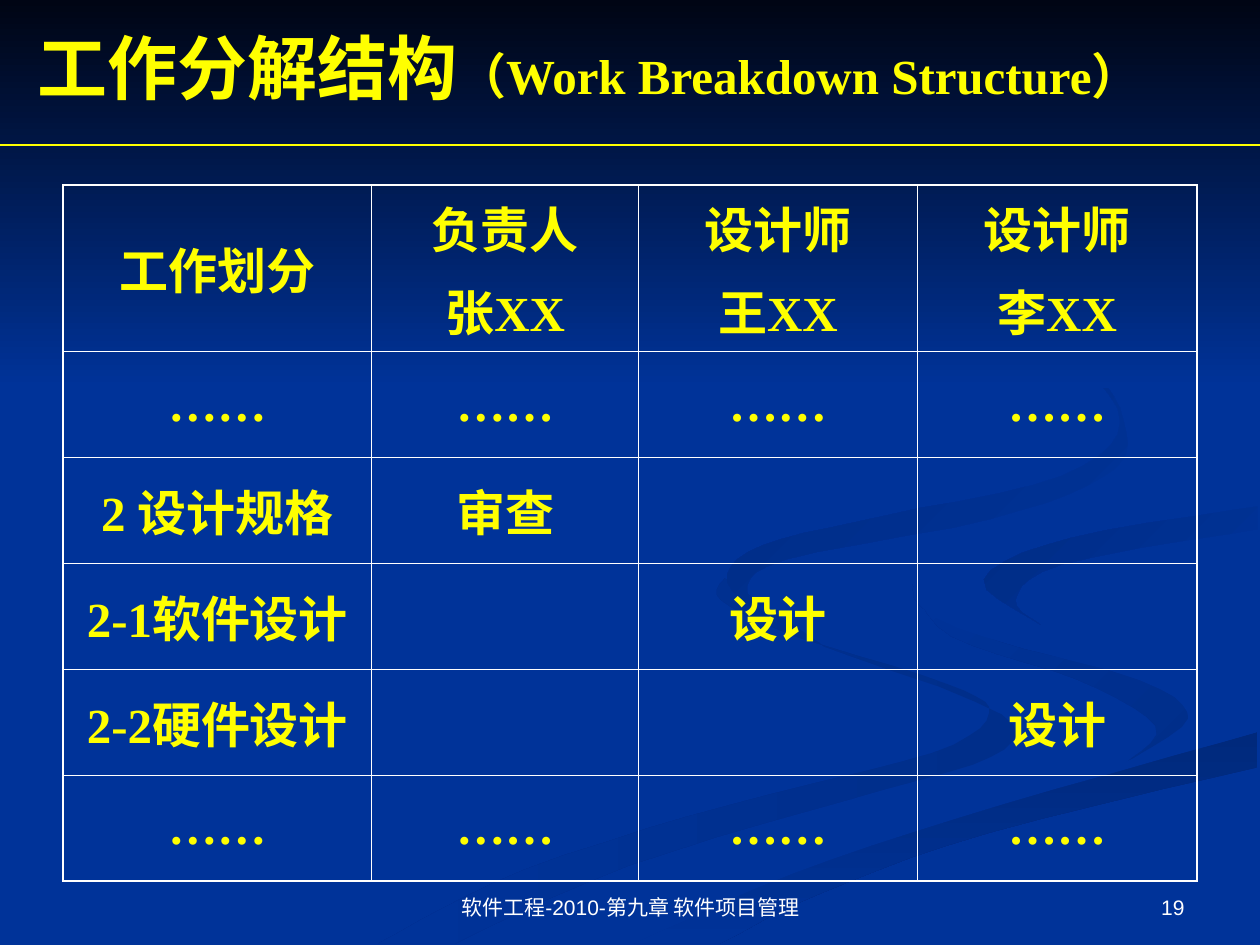
from lxml import etree
from pptx import Presentation, util as u
from pptx.dml.color import RGBColor
from pptx.enum import shapes, text
from pptx.oxml.ns import qn

PX = 9144  # EMU per px, 100 px to the inch
SERIF, SANS = "Times New Roman", "Arial"
BLUE, YELLOW, WHITE = "003399", "FFFF00", "FFFFFF"
CENTER = text.PP_ALIGN.CENTER

# Background ribbons: gradient ends, clockwise angle, curved edges
SWEEP = [(503, 749), (630, 693), (797, 638), (998, 581)]
RIBBONS = [
    ("002E8A", BLUE, 180, [
        [(575, 459), (572, 476), (631, 505), (752, 543), (785, 566),
         (739, 598), (579, 639), (417, 690), (300, 749)],
        [(361, 749), (499, 687), (676, 634), (786, 601), (795, 567), (654, 513)]]),
    ("002E8A", BLUE, 225, [
        [(724, 464), (755, 505), (854, 539), (917, 576), (894, 605)],
        [(894, 605), (943, 570), (905, 540), (792, 509), (733, 483), (724, 464)]]),
    ("00297C", BLUE, 90, [SWEEP, [(998, 609), (785, 661), (649, 710), (571, 749)]]),
    (BLUE, BLUE, 0, [
        [(998, 387), (874, 408), (755, 432), (725, 464), (759, 498),
         (905, 540), (943, 572), (892, 605), (704, 655), (477, 749)],
        SWEEP,
        [(998, 538), (866, 509), (794, 480), (786, 453), (850, 427), (998, 402)]]),
    (BLUE, "002C85", 225, [
        [(998, 402), (850, 427), (781, 460), (826, 496)],
        [(826, 496), (806, 476), (843, 448), (998, 420)]]),
    (BLUE, "002B81", 225, [
        [(762, 233), (846, 279), (889, 335), (842, 378),
         (704, 409), (605, 433), (577, 462), (622, 500)],
        [(622, 500), (593, 470), (624, 444), (786, 412),
         (876, 378), (894, 344), (864, 291), (762, 233)]]),
]

COLUMNS = [245, 212, 221, 222]
ROWS = [118] + [84] * 5
DOTS = ["……"] * 4
CELLS = [
    ["工作划分", "负责人\n张XX", "设计师\n王XX", "设计师\n李XX"],
    DOTS,
    ["2 设计规格", "审查", "", ""],
    ["2-1软件设计", "", "设计", ""],
    ["2-2硬件设计", "", "", "设计"],
    DOTS,
]


def px(*values):
    return [v * PX for v in values]


def color(value):
    return RGBColor.from_string(value)


def set_font(font, size, name, value, bold=False):
    font.size, font.name, font.bold = u.Pt(size), name, bold
    font.color.rgb = color(value)


def smooth_edge(points, steps=5):
    """Points along a Catmull-Rom curve through the given points."""
    padded = [points[0], *points, points[-1]]
    curve = [points[0]]
    for quad in zip(padded, padded[1:], padded[2:], padded[3:]):
        for step in range(1, steps + 1):
            t = step / steps
            curve.append(tuple(
                round(b + t * (c - a + t * (2 * a - 5 * b + 4 * c - d
                                            + t * (3 * (b - c) + d - a))) / 2)
                for a, b, c, d in zip(*quad)))
    return curve


def paint_gradient(sp, start, end, angle):
    sp.shadow.inherit = False
    sp.line.fill.background()
    sp.fill.gradient()
    sp.fill.gradient_angle = (360 - angle) % 360
    for stop, value in zip(sp.fill.gradient_stops, (start, end)):
        stop.color.rgb = color(value)


def add_ribbon(s, start, end, angle, edges):
    points = [point for edge in edges for point in smooth_edge(edge)]
    builder = s.shapes.build_freeform(*points[0], scale=PX)
    builder.add_line_segments(points[1:], close=True)
    paint_gradient(builder.convert_to_shape(), start, end, angle)


def add_text(s, box, runs, name, value, align, anchor, bold=False):
    tf = s.shapes.add_textbox(*px(*box)).text_frame
    tf.word_wrap = True
    tf.vertical_anchor = anchor
    p = tf.paragraphs[0]
    p.alignment = align
    for content, size in runs:
        r = p.add_run()
        r.text = content
        set_font(r.font, size, name, value, bold)


def set_border(cell, side, width):
    ln = etree.SubElement(cell._tc.get_or_add_tcPr(), qn("a:" + side), w=str(u.Pt(width)))
    fill = etree.SubElement(ln, qn("a:solidFill"))
    etree.SubElement(fill, qn("a:srgbClr"), val=WHITE)


def add_work_table(s):
    frame = s.shapes.add_table(len(ROWS), len(COLUMNS),
                               *px(50, 147, sum(COLUMNS), sum(ROWS)))
    table = frame.table
    table.first_row = table.horz_banding = False
    for column, width in zip(table.columns, COLUMNS):
        column.width = width * PX
    for row, height in zip(table.rows, ROWS):
        row.height = height * PX
    for i, row in enumerate(CELLS):
        for j, content in enumerate(row):
            cell = table.cell(i, j)
            outer = {"lnL": j == 0, "lnR": j == len(COLUMNS) - 1,
                     "lnT": i == 0, "lnB": i == len(ROWS) - 1}
            for side, is_outer in outer.items():
                set_border(cell, side, 1.08 if is_outer else 0.45)
            cell.fill.background()
            cell.vertical_anchor = text.MSO_ANCHOR.MIDDLE
            cell.text = content
            for p in cell.text_frame.paragraphs:
                p.alignment = CENTER
                p.space_before = u.Pt(7)
                set_font(p.font, 28, SERIF, YELLOW, True)


def add_rule(s, x1, y1, x2, y2):
    line = s.shapes.add_connector(shapes.MSO_CONNECTOR.STRAIGHT, *px(x1, y1, x2, y2))
    line.line.color.rgb = color(YELLOW)
    line.line.width = u.Pt(0.75)
    etree.SubElement(line._element.spPr, qn("a:effectLst"))


def main():
    prs = Presentation()
    prs.slide_width, prs.slide_height = px(1000, 750)
    s = prs.slides.add_slide(prs.slide_layouts[6])

    # Background
    s.background.fill.solid()
    s.background.fill.fore_color.rgb = color(BLUE)
    for ribbon in RIBBONS:
        add_ribbon(s, *ribbon)
    band = s.shapes.add_shape(shapes.MSO_SHAPE.RECTANGLE, *px(0, 0, 1000, 308))
    paint_gradient(band, "000514", BLUE, 90)

    # Work division table
    add_work_table(s)

    # Title and rule
    add_text(s, (20, 14, 900, 77),
             [("工作分解结构", 40), ("（Work Breakdown Structure）", 28)],
             SERIF, YELLOW, text.PP_ALIGN.LEFT, text.MSO_ANCHOR.MIDDLE, True)
    add_rule(s, 0, 115, 1000, 115)

    # Footer and page number
    bottom = text.MSO_ANCHOR.BOTTOM
    add_text(s, (342, 683, 317, 52), [("软件工程-2010-第九章 软件项目管理", 12)],
             SANS, WHITE, CENTER, bottom)
    add_text(s, (717, 683, 233, 52), [("19", 12)],
             SANS, WHITE, text.PP_ALIGN.RIGHT, bottom)

    prs.save("out.pptx")


if __name__ == "__main__":
    main()
